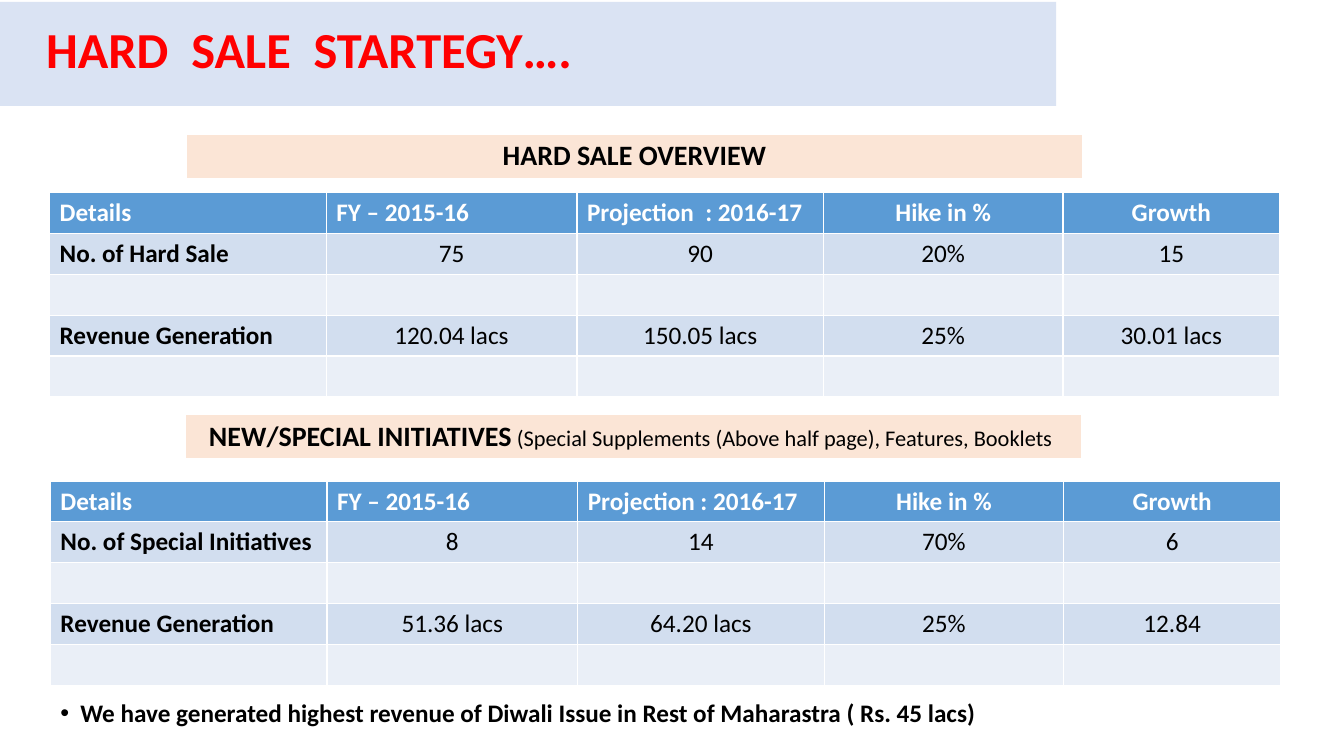
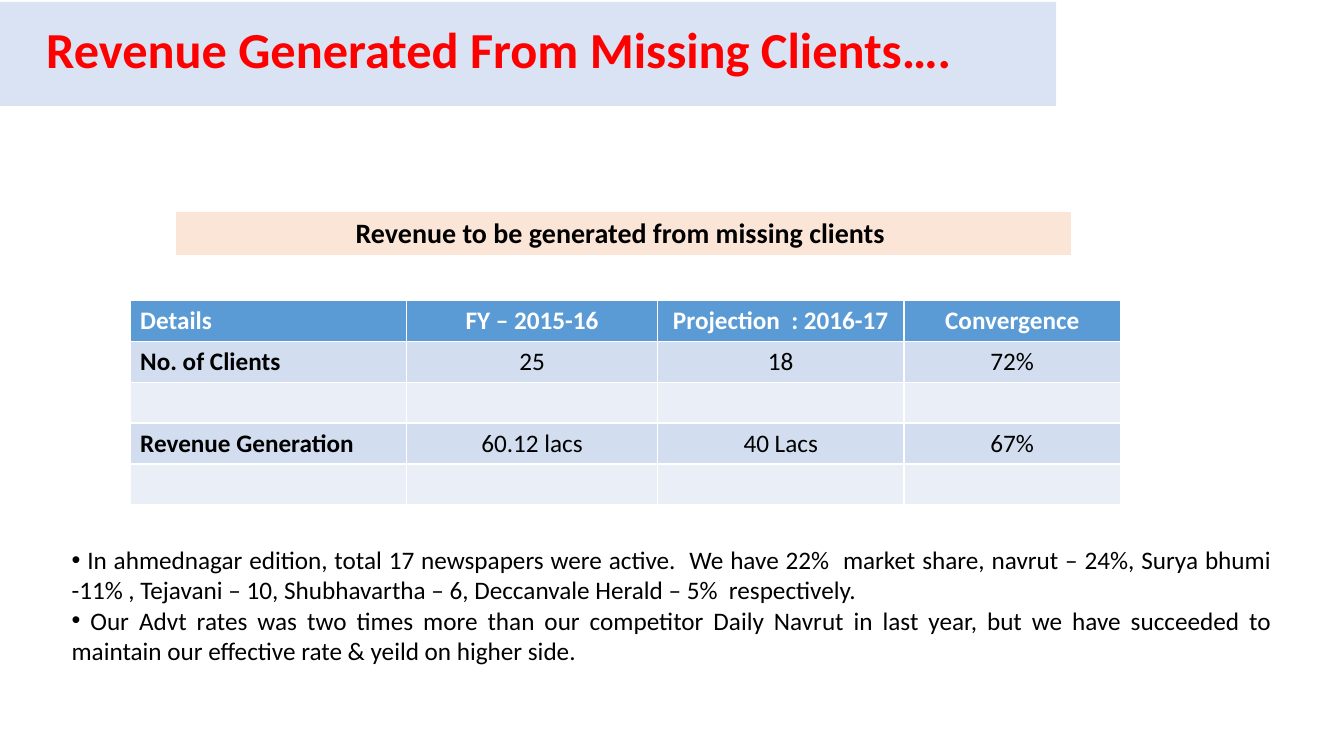
from dataclasses import dataclass
from typing import NamedTuple

from pptx import Presentation
from pptx.dml.color import RGBColor
from pptx.enum.shapes import MSO_SHAPE as Shape
from pptx.enum.text import MSO_ANCHOR as Anchor, MSO_AUTO_SIZE as AutoSize, PP_ALIGN as Align
from pptx.util import Cm, Pt


@dataclass(frozen=True)
class Theme:
    """Colours, font and type sizes of the deck."""
    font: str = "Calibri"
    red: str = "FF0000"
    black: str = "000000"
    white: str = "FFFFFF"
    band: str = "DAE3F3"
    strip: str = "FBE5D6"
    head: str = "5B9BD5"
    rows: tuple = ("D2DEEF", "EAEFF7")
    title_size: int = 36
    strip_size: int = 20
    text_size: int = 18
    note_size: int = 16


class Box(NamedTuple):
    """A region in centimetres."""
    x: float
    y: float
    w: float
    h: float

    def lengths(self):
        """Return the region as slide lengths."""
        return [Cm(v) for v in self]


THEME = Theme()
BAND = Box(-0.02, 0.05, 26.64, 2.62)
STRIP_W, STRIP_H = 22.58, 1.09
ROW_H = 1.03
DETAIL_W, YEAR_W, PLAN_W, HIKE_W, GROWTH_W = 6.97, 6.32, 6.21, 6.04, 5.46
WIDE_COLS = (DETAIL_W, YEAR_W, PLAN_W, HIKE_W, GROWTH_W)
SHORT_COLS = (DETAIL_W, YEAR_W, PLAN_W, GROWTH_W)


def set_font(font, size, color, bold=False):
    """Format the font of a paragraph or run."""
    font.name, font.size, font.bold = THEME.font, Pt(size), bold
    font.color.rgb = RGBColor.from_string(color)


def set_fill(target, color):
    """Give a shape or cell a solid fill."""
    target.fill.solid()
    target.fill.fore_color.rgb = RGBColor.from_string(color)


def place(shape, box):
    """Move a placeholder to a box."""
    shape.left, shape.top, shape.width, shape.height = box.lengths()


def add_title(s, box, text):
    """Draw the band with the slide title on it."""
    band = s.shapes.add_shape(Shape.RECTANGLE, *box.lengths())
    band.shadow.inherit = False
    band.line.fill.background()
    set_fill(band, THEME.band)
    title = s.shapes.title
    title.element.addprevious(band.element)
    place(title, Box(box.x + 0.93, box.y + 0.28, box.w - 1.09, 1.8))
    tf = title.text_frame
    tf.text = text
    tf.auto_size, tf.vertical_anchor = AutoSize.NONE, Anchor.MIDDLE
    p = tf.paragraphs[0]
    p.alignment = Align.LEFT
    set_font(p.font, THEME.title_size, THEME.red, True)


def add_strip(s, x, y, heading, note=""):
    """Draw a one-cell table as a section heading with an optional note."""
    box = Box(x, y, STRIP_W, STRIP_H)
    cell = s.shapes.add_table(1, 1, *box.lengths()).table.cell(0, 0)
    set_fill(cell, THEME.strip)
    p = cell.text_frame.paragraphs[0]
    p.alignment = Align.CENTER
    set_font(p.font, THEME.strip_size, THEME.black, True)
    p.add_run().text = heading
    if note:
        r = p.add_run()
        r.text = note
        set_font(r.font, THEME.note_size, THEME.black)


def add_data_table(s, x, y, widths, heads, records, left_heads=1):
    """Draw a header and one record per band, each followed by an empty row."""
    rows = [heads]
    for record in records:
        rows += [record, [""] * len(widths)]
    box = Box(x, y, sum(widths), ROW_H * len(rows))
    table = s.shapes.add_table(len(rows), len(widths), *box.lengths()).table
    for column, width in zip(table.columns, widths):
        column.width = Cm(width)
    for i, row in enumerate(rows):
        is_head = i == 0
        left_count = left_heads if is_head else 1
        for j, text in enumerate(row):
            cell = table.cell(i, j)
            cell.text = text
            set_fill(cell, THEME.head if is_head else THEME.rows[(i - 1) % 2])
            p = cell.text_frame.paragraphs[0]
            p.alignment = Align.LEFT if j < left_count else Align.CENTER
            color = THEME.white if is_head else THEME.black
            set_font(p.font, THEME.text_size, color, is_head or j == 0)


def add_bullets(s, box, items, align=Align.LEFT, bold=False, hang=0):
    """Fill the body placeholder with bullets that hang by the given indent."""
    body = s.placeholders[1]
    place(body, box)
    tf = body.text_frame
    tf.auto_size = AutoSize.NONE
    for i, item in enumerate(items):
        p = tf.add_paragraph() if i else tf.paragraphs[0]
        p.text = item
        p.alignment, p.space_before = align, Pt(0)
        set_font(p.font, THEME.text_size, THEME.black, bold)
        pPr = p._p.get_or_add_pPr()
        pPr.set("marL", str(Cm(hang)))
        pPr.set("indent", str(-Cm(hang)))


def new_slide(prs, title):
    """Add a slide with the shared title band."""
    s = prs.slides.add_slide(prs.slide_layouts[1])
    add_title(s, BAND, title)
    return s


def hard_sale_slide(prs):
    """Build the hard sale slide."""
    s = new_slide(prs, "HARD  SALE  STARTEGY….")
    add_strip(s, 4.7, 3.38, "HARD SALE OVERVIEW")
    add_data_table(
        s, 1.25, 4.85, WIDE_COLS,
        ["Details", "FY – 2015-16", "Projection  : 2016-17", "Hike in %", "Growth"],
        [["No. of Hard Sale", "75", "90", "20%", "15"],
         ["Revenue Generation", "120.04 lacs", "150.05 lacs", "25%", "30.01 lacs"]],
        left_heads=3)
    add_strip(s, 4.67, 10.44, "NEW/SPECIAL INITIATIVES",
              " (Special Supplements (Above half page), Features, Booklets ")
    add_data_table(
        s, 1.27, 12.12, WIDE_COLS,
        ["Details", "FY – 2015-16", "Projection : 2016-17", "Hike in %", "Growth"],
        [["No. of Special Initiatives", "8", "14", "70%", "6"],
         ["Revenue Generation", "51.36 lacs", "64.20 lacs", "25%", "12.84"]],
        left_heads=3)
    add_bullets(
        s, Box(1.27, 17.45, 31.34, 1.02),
        ["We have generated highest revenue of Diwali Issue in Rest of Maharastra ( Rs. 45 lacs)"],
        bold=True, hang=0.5)


def missing_clients_slide(prs):
    """Build the missing clients slide."""
    s = new_slide(prs, "Revenue Generated From Missing Clients….")
    add_strip(s, 4.42, 5.33, "Revenue to be generated from missing clients ")
    add_data_table(
        s, 3.28, 7.57, SHORT_COLS,
        ["Details", "FY – 2015-16", "Projection  : 2016-17", "Convergence"],
        [["No. of Clients", "25", "18", "72%"],
         ["Revenue Generation", "60.12 lacs", "40 Lacs", "67%"]])
    add_bullets(
        s, Box(1.55, 13.59, 30.76, 3.33),
        [" In ahmednagar edition, total 17 newspapers were active.  We have 22%  market share, "
         "navrut – 24%, Surya bhumi -11% , Tejavani – 10, Shubhavartha – 6, "
         "Deccanvale Herald – 5%  respectively.",
         " Our Advt rates was two times more than our competitor Daily Navrut in last year, "
         "but we have succeeded to maintain our effective rate & yeild on higher side."],
        align=Align.JUSTIFY)


def main():
    """Build and save the deck."""
    prs = Presentation()
    prs.slide_width, prs.slide_height = Cm(33.87), Cm(19.05)
    hard_sale_slide(prs)
    missing_clients_slide(prs)
    prs.save("out.pptx")


if __name__ == "__main__":
    main()
